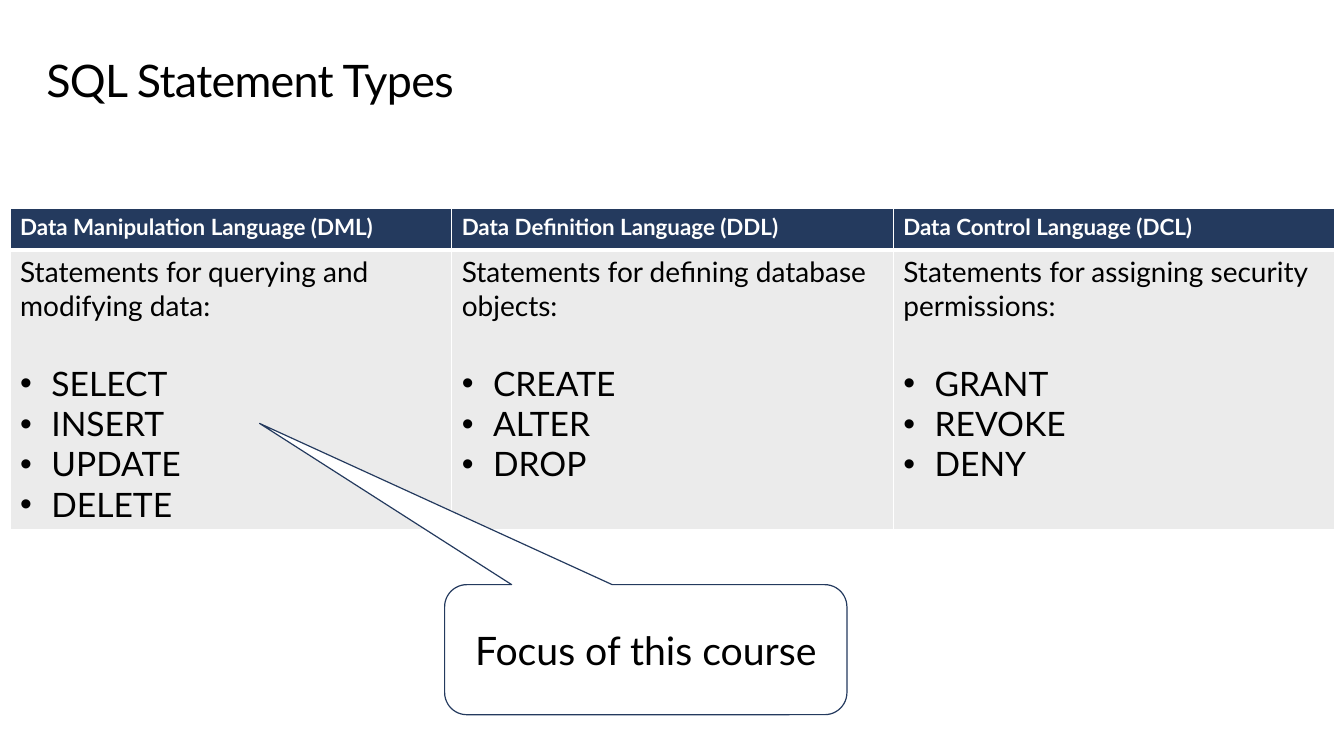
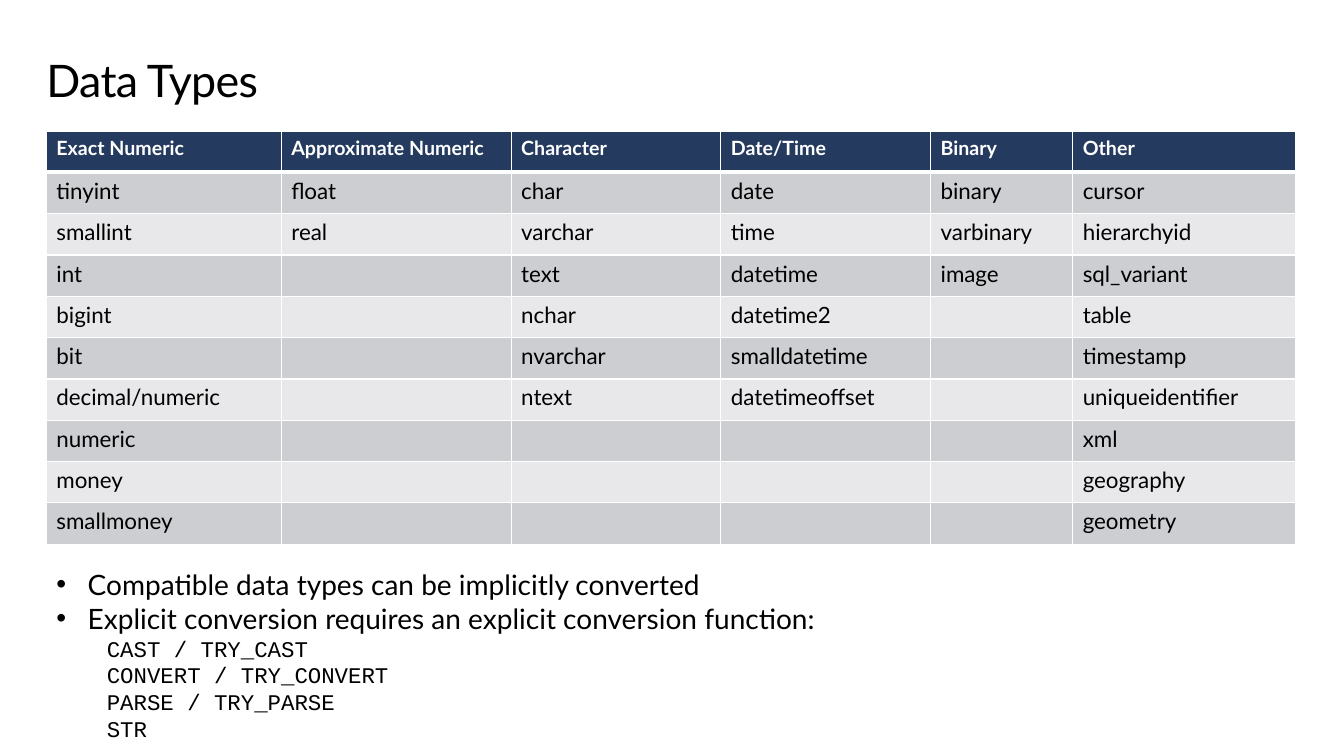
from itertools import zip_longest

from lxml import etree
from pptx import Presentation
from pptx.dml.color import RGBColor
from pptx.enum.shapes import MSO_SHAPE
from pptx.enum.text import MSO_ANCHOR, MSO_AUTO_SIZE, PP_ALIGN
from pptx.oxml.ns import qn
from pptx.util import Inches, Pt

# Enum members
CALLOUT = MSO_SHAPE.ROUNDED_RECTANGULAR_CALLOUT
TOP, MIDDLE = MSO_ANCHOR.TOP, MSO_ANCHOR.MIDDLE
LEFT, CENTER = PP_ALIGN.LEFT, PP_ALIGN.CENTER
NO_AUTOFIT = MSO_AUTO_SIZE.NONE

# Colours
NAVY = RGBColor(0x24, 0x3A, 0x5E)
WHITE = RGBColor(0xFF, 0xFF, 0xFF)
BLACK = RGBColor(0x00, 0x00, 0x00)
PALE_GRAY = RGBColor(0xEB, 0xEB, 0xEB)
BAND_DARK = RGBColor(0xCD, 0xCE, 0xD2)
BAND_LIGHT = RGBColor(0xE8, 0xE8, 0xEA)

# Fonts and measures
SANS, MONO = "Lato", "Courier New"
TITLE_LAYOUT, CONTENT_LAYOUT = 5, 1
MARGIN = 0.46
ROW_HEIGHT = 0.41
HANGING = 0.31
CODE_INDENT = 0.5
THIN, THICK = 1, 3

TITLE_FRAME = {
    "margin_left": 0, "margin_top": Inches(0.1),
    "margin_right": Inches(0.16), "margin_bottom": Inches(0.1),
    "vertical_anchor": TOP, "word_wrap": True, "auto_size": NO_AUTOFIT,
}
BODY_FRAME = {"vertical_anchor": TOP, "word_wrap": True, "auto_size": NO_AUTOFIT}

# Content
STATEMENT_TYPES = [
    ("Data Manipulation Language (DML)",
     "Statements for querying and modifying data:",
     ["SELECT", "INSERT", "UPDATE", "DELETE"]),
    ("Data Definition Language (DDL)",
     "Statements for defining database objects:",
     ["CREATE", "ALTER", "DROP"]),
    ("Data Control Language (DCL)",
     "Statements for assigning security permissions:",
     ["GRANT", "REVOKE", "DENY"]),
]
# Heading, column width, type names
DATA_TYPES = [
    ("Exact Numeric", 2.33, ["tinyint", "smallint", "int", "bigint", "bit",
                             "decimal/numeric", "numeric", "money", "smallmoney"]),
    ("Approximate Numeric", 2.28, ["float", "real"]),
    ("Character", 2.08, ["char", "varchar", "text", "nchar", "nvarchar", "ntext"]),
    ("Date/Time", 2.08, ["date", "time", "datetime", "datetime2",
                         "smalldatetime", "datetimeoffset"]),
    ("Binary", 1.41, ["binary", "varbinary", "image"]),
    ("Other", 2.21, ["cursor", "hierarchyid", "sql_variant", "table", "timestamp",
                     "uniqueidentifier", "xml", "geography", "geometry"]),
]
CONVERSION_NOTES = [
    "Compatible data types can be implicitly converted",
    "Explicit conversion requires an explicit conversion function:",
]
CONVERSION_FUNCTIONS = ["CAST / TRY_CAST", "CONVERT / TRY_CONVERT",
                        "PARSE / TRY_PARSE", "STR"]


def set_attributes(target, values):
    for name, value in values.items():
        setattr(target, name, value)


def place(shape, left, top, width, height):
    set_attributes(shape, {"left": Inches(left), "top": Inches(top),
                           "width": Inches(width), "height": Inches(height)})


# Text
def add_paragraph(frame, text, size, color=BLACK, bold=False, font=SANS, **layout):
    """Write into the first paragraph while it is empty, else append one."""
    paragraph = frame.paragraphs[0]
    if paragraph.runs:
        paragraph = frame.add_paragraph()
    set_attributes(paragraph, {"alignment": LEFT, "space_before": Pt(0), **layout})
    run = paragraph.add_run()
    run.text = text
    set_attributes(run.font, {"name": font, "size": Pt(size), "bold": bold})
    run.font.color.rgb = color
    return paragraph


def set_indent(paragraph, left, first_line, bullet=None):
    properties = paragraph._p.get_or_add_pPr()
    properties.set("marL", str(Inches(left)))
    properties.set("indent", str(Inches(first_line)))
    if bullet:
        etree.SubElement(properties, qn("a:buFont"), typeface="Arial")
        etree.SubElement(properties, qn("a:buChar"), char=bullet)
    else:
        etree.SubElement(properties, qn("a:buNone"))


def add_bullet(frame, text, size, **layout):
    paragraph = add_paragraph(frame, text, size, **layout)
    set_indent(paragraph, HANGING, -HANGING, "•")


def add_titled_slide(presentation, layout, text):
    slide = presentation.slides.add_slide(presentation.slide_layouts[layout])
    title = slide.shapes.title
    place(title, MARGIN, 0.48, 12.4, 0.74)
    set_attributes(title.text_frame, TITLE_FRAME)
    paragraph = add_paragraph(title.text_frame, text, 32, line_spacing=0.9)
    paragraph.runs[0].font._element.set("spc", "-50")
    return slide


# Tables
def style_cell(cell, fill, top=THIN, bottom=THIN):
    properties = cell._tc.get_or_add_tcPr()
    for side, width in {"L": THIN, "R": THIN, "T": top, "B": bottom}.items():
        line = etree.SubElement(properties, qn(f"a:ln{side}"), w=str(Pt(width)))
        solid = etree.SubElement(line, qn("a:solidFill"))
        etree.SubElement(solid, qn("a:srgbClr"), val=str(WHITE))
    cell.fill.solid()
    cell.fill.fore_color.rgb = fill


def add_grid(slide, left, top, widths, heights, headings, heading_size, bands):
    """Add a table with a navy header row and body rows filled in turn."""
    table = slide.shapes.add_table(
        len(heights), len(widths), Inches(left), Inches(top),
        Inches(sum(widths)), Inches(sum(heights))).table
    for column, width in zip(table.columns, widths):
        column.width = Inches(width)
    for index, (row, height) in enumerate(zip(table.rows, heights)):
        row.height = Inches(height)
        for cell in row.cells:
            if index == 0:
                style_cell(cell, NAVY, bottom=THICK)
            else:
                style_cell(cell, bands[(index - 1) % len(bands)],
                           top=THICK if index == 1 else THIN)
    for cell, heading in zip(table.rows[0].cells, headings):
        add_paragraph(cell.text_frame, heading, heading_size, WHITE, bold=True)
    return table


# Callout
def add_callout(slide, text):
    callout = slide.shapes.add_shape(
        CALLOUT, Inches(4.41), Inches(5.8), Inches(3.99), Inches(1.29))
    for index, value in enumerate((-0.96, -1.74, 0.17)):
        callout.adjustments[index] = value
    callout.shadow.inherit = False
    callout.fill.solid()
    callout.fill.fore_color.rgb = WHITE
    callout.line.color.rgb = NAVY
    callout.line.width = Pt(0.85)
    set_attributes(callout.text_frame, {"word_wrap": True, "vertical_anchor": MIDDLE})
    add_paragraph(callout.text_frame, text, 28, alignment=CENTER)


# Slides
def build_statement_types(presentation):
    slide = add_titled_slide(presentation, TITLE_LAYOUT, "SQL Statement Types")
    headings = [heading for heading, _, _ in STATEMENT_TYPES]
    table = add_grid(slide, 0.1, 2.07, [4.38] * len(headings), [ROW_HEIGHT, 2.76],
                     headings, 16, [PALE_GRAY])
    for cell, (_, summary, keywords) in zip(table.rows[1].cells, STATEMENT_TYPES):
        add_paragraph(cell.text_frame, summary, 20)
        for index, keyword in enumerate(keywords):
            add_bullet(cell.text_frame, keyword, 24,
                       space_before=Pt(0 if index else 29))
    add_callout(slide, "Focus of this course")


def build_data_types(presentation):
    slide = add_titled_slide(presentation, CONTENT_LAYOUT, "Data Types")
    headings, widths, names = zip(*DATA_TYPES)
    body_rows = list(zip_longest(*names))
    table = add_grid(slide, MARGIN, 1.3, widths, [ROW_HEIGHT] * (len(body_rows) + 1),
                     headings, 14, [BAND_DARK, BAND_LIGHT])
    for row_index, row in enumerate(body_rows, start=1):
        for column_index, name in enumerate(row):
            if name:
                add_paragraph(table.cell(row_index, column_index).text_frame, name, 16)

    # Conversion notes below the table
    body = slide.placeholders[1]
    place(body, MARGIN, 5.58, 8.81, 1.85)
    set_attributes(body.text_frame, BODY_FRAME)
    for note in CONVERSION_NOTES:
        add_bullet(body.text_frame, note, 20)
    for function in CONVERSION_FUNCTIONS:
        paragraph = add_paragraph(body.text_frame, function, 16, font=MONO, level=1)
        set_indent(paragraph, CODE_INDENT, 0)


def main():
    presentation = Presentation()
    presentation.slide_width = Inches(13.33)
    presentation.slide_height = Inches(7.5)
    build_statement_types(presentation)
    build_data_types(presentation)
    presentation.save("out.pptx")


if __name__ == "__main__":
    main()
